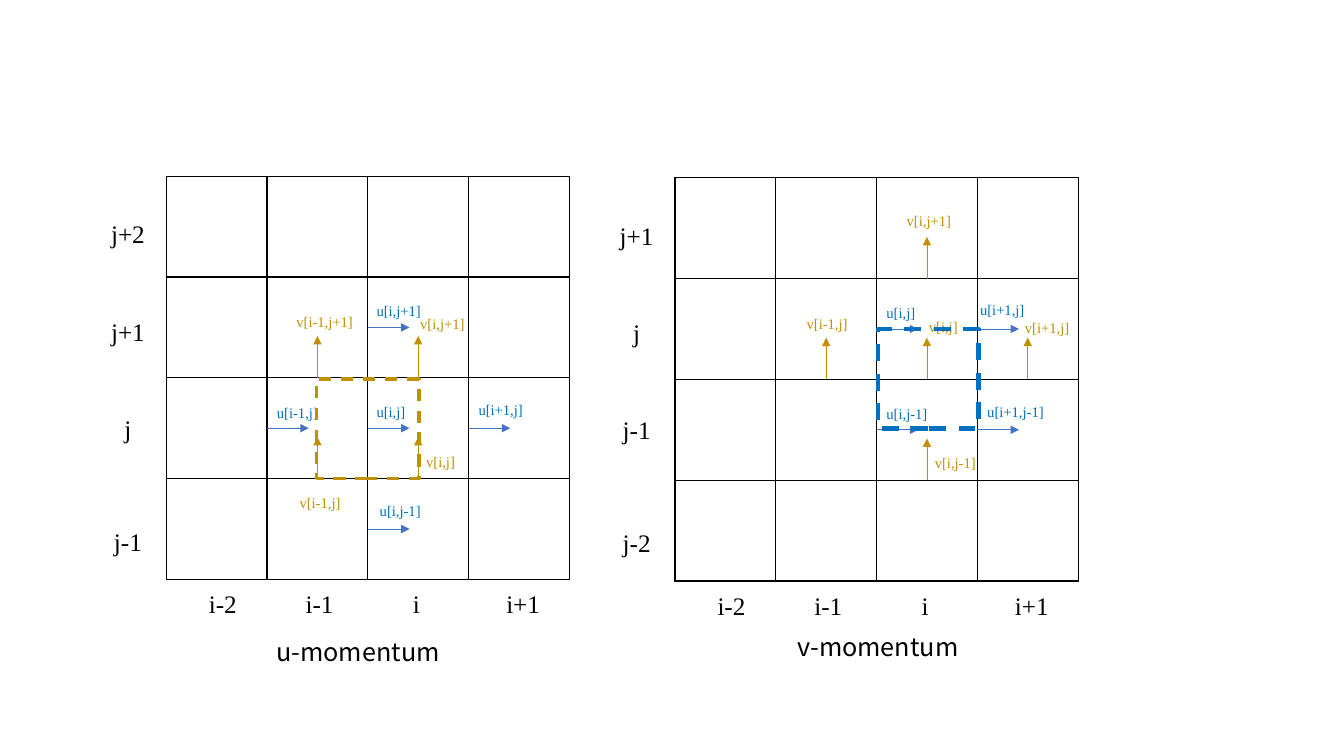
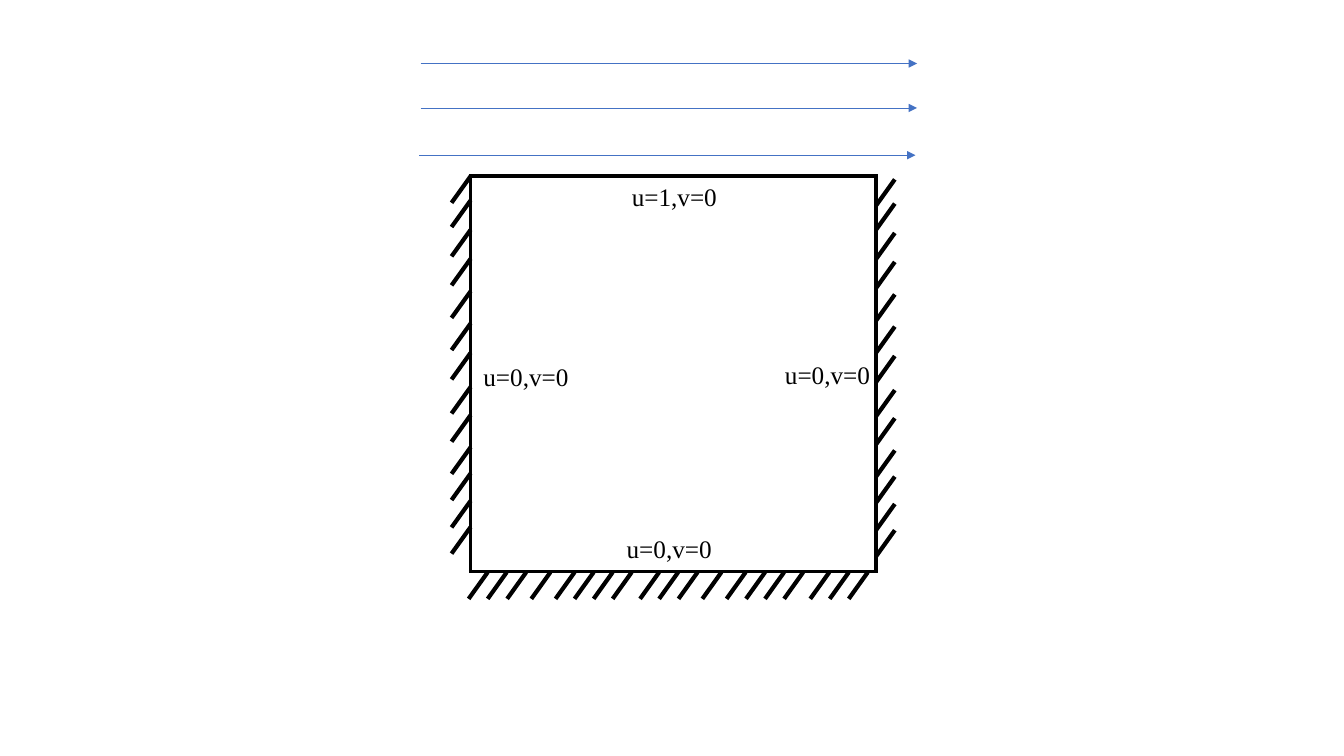
from lxml import etree
from pptx import Presentation
from pptx import util as u
from pptx.dml.color import RGBColor
from pptx.enum import dml, shapes, text
from pptx.oxml.ns import qn

COLORS = {
    "ink": "000000",
    "flow": "4472C4",
    "u": "0070C0",
    "v": "BF9000",
}
SERIF = "Times New Roman"
SANS = "Noto Sans CJK SC"

CELL = 2.54
ARROW = 1.05

# Axis labels, measured from the top left corner of a grid
COLUMN_LEFTS = (0.56, 3, 5.44, 8.13)
COLUMN_TOP = 10.26
ROW_TOPS = (0.94, 3.4, 5.84, 8.69)
ROW_LEFT = -1.83

# Velocities: component, indices, start in cells, label offset from start in cm
U_PANEL = dict(
    origin=(4.19, 4.44),
    rows=("j+2", "j+1", "j", "j-1"),
    velocities=(
        ("u", "i,j", (2, 2.5), (-0.03, -0.76)),
        ("u", "i,j-1", (2, 3.5), (0.05, -0.81)),
        ("u", "i+1,j", (3, 2.5), (0, -0.81)),
        ("u", "i-1,j", (1, 2.5), (0, -0.74)),
        ("u", "i,j+1", (2, 1.5), (-0.03, -0.76)),
        ("v", "i,j", (2.5, 3), (-0.05, -0.78)),
        ("v", "i,j+1", (2.5, 2), (-0.2, -1.7)),
        ("v", "i-1,j", (1.5, 3), (-0.7, 0.26)),
        ("v", "i-1,j+1", (1.5, 2), (-0.78, -1.75)),
    ),
    volume=(3.78, 5.11, 2.59, 2.51, "v", 2.25),
    title=("u-momentum", 0.43, 11.48),
)
V_PANEL = dict(
    origin=(17.01, 4.48),
    rows=("j+1", "j", "j-1", "j-2"),
    velocities=(
        ("u", "i,j-1", (2, 2.5), (0, -0.76)),
        ("u", "i+1,j-1", (3, 2.5), (0, -0.81)),
        ("u", "i,j", (2, 1.5), (0, -0.76)),
        ("u", "i+1,j", (3, 1.5), (-0.18, -0.84)),
        ("v", "i,j-1", (2.5, 3), (-0.05, -0.78)),
        ("v", "i,j", (2.5, 2), (-0.2, -1.68)),
        ("v", "i-1,j", (1.5, 2), (-0.74, -1.75)),
        ("v", "i+1,j", (3.5, 2), (-0.32, -1.65)),
        ("v", "i,j+1", (2.5, 1), (-0.76, -1.8)),
    ),
    volume=(5.11, 3.81, 2.54, 2.51, "u", 3),
    title=("v-momentum", 0.71, 11.3),
)

# Cavity and the strokes that hatch its walls, measured along each wall
CAVITY = (11.86, 4.44, 10.21, 9.96)
STROKE = (0.48, 0.67)
SIDE_STROKES = (0, 0.61, 1.35, 2.08, 2.9, 3.71, 4.45, 5.31, 6.02, 6.83,
                7.49, 8.18, 8.84)
FLOOR_STROKES = (0.43, 0.91, 1.4, 2.01, 2.62, 3.1, 3.58, 4.06, 4.75, 5.23,
                 5.72, 6.32, 6.93, 7.42, 7.9, 8.38, 9.04, 9.53, 10.01)


def rgb(name):
    return RGBColor.from_string(COLORS[name])


def add_label(s, words, x, y, w, h=1.02, size=18, color="ink", font=SERIF,
              align=text.PP_ALIGN.CENTER):
    tf = s.shapes.add_textbox(u.Cm(x), u.Cm(y), u.Cm(w), u.Cm(h)).text_frame
    tf.word_wrap = True
    tf.auto_size = text.MSO_AUTO_SIZE.SHAPE_TO_FIT_TEXT
    p = tf.paragraphs[0]
    p.text = words
    p.alignment = align
    r = p.runs[0]
    r.font.size = u.Pt(size)
    r.font.name = font
    r.font.color.rgb = rgb(color)


def add_line(s, x1, y1, x2, y2, color, width, arrow=False):
    sp = s.shapes.add_connector(shapes.MSO_CONNECTOR.STRAIGHT,
                                u.Cm(x1), u.Cm(y1), u.Cm(x2), u.Cm(y2))
    sp.line.color.rgb = rgb(color)
    sp.line.width = u.Pt(width)
    sp_pr = sp._element.spPr
    if arrow:
        etree.SubElement(sp_pr.find(qn("a:ln")), qn("a:tailEnd"),
                         type="triangle")
    etree.SubElement(sp_pr, qn("a:effectLst"))


def set_borders(cell, width):
    tc_pr = cell._tc.get_or_add_tcPr()
    for i, side in enumerate(("lnL", "lnR", "lnT", "lnB")):
        ln = etree.Element(qn("a:" + side), w=str(u.Pt(width)))
        fill = etree.SubElement(ln, qn("a:solidFill"))
        etree.SubElement(fill, qn("a:srgbClr"), val=COLORS["ink"])
        tc_pr.insert(i, ln)


def add_grid(s, n, x, y, w, h, width):
    table = s.shapes.add_table(n, n, u.Cm(x), u.Cm(y), u.Cm(w), u.Cm(h)).table
    table.first_row = table.horz_banding = False
    for cell in table.iter_cells():
        cell.fill.background()
        set_borders(cell, width)


def add_velocity(s, origin, component, indices, start, offset):
    x, y = (o + c * CELL for o, c in zip(origin, start))
    if component == "u":
        add_line(s, x, y, x + ARROW, y, "flow", 0.5, arrow=True)
    else:
        add_line(s, x, y, x, y - ARROW, "v", 0.5, arrow=True)
    add_label(s, f"{component}[{indices}]", x + offset[0], y + offset[1],
              3.07, 0.74, size=10.5, color=component,
              align=text.PP_ALIGN.LEFT)


def add_control_volume(s, x, y, w, h, color, width):
    sp = s.shapes.add_shape(shapes.MSO_SHAPE.RECTANGLE,
                            u.Cm(x), u.Cm(y), u.Cm(w), u.Cm(h))
    sp.shadow.inherit = False
    sp.fill.background()
    sp.line.color.rgb = rgb(color)
    sp.line.width = u.Pt(width)
    sp.line.dash_style = dml.MSO_LINE.DASH


def add_panel(s, origin, rows, velocities, volume, title):
    ox, oy = origin
    add_grid(s, 4, ox, oy, 4 * CELL, 4 * CELL, 1)
    for velocity in velocities:
        add_velocity(s, origin, *velocity)
    vx, vy, *rest = volume
    add_control_volume(s, ox + vx, oy + vy, *rest)
    for words, x in zip(("i-2", "i-1", "i", "i+1"), COLUMN_LEFTS):
        add_label(s, words, ox + x, oy + COLUMN_TOP, 1.73)
    for words, y in zip(rows, ROW_TOPS):
        add_label(s, words, ox + ROW_LEFT, oy + y, 1.73)
    words, x, y = title
    add_label(s, words, ox + x, oy + y, 8.81, font=SANS)


def add_hatching(s):
    x, y, w, h = CAVITY
    dx, dy = STROKE
    starts = [(x, y + d) for d in SIDE_STROKES]
    starts += [(x + w + dx, y + 0.08 + d) for d in SIDE_STROKES]
    starts += [(x + d, y + h + 0.02) for d in FLOOR_STROKES]
    for x1, y1 in starts:
        add_line(s, x1, y1, x1 - dx, y1 + dy, "ink", 3)


def build_staggered_grids(s):
    for panel in (U_PANEL, V_PANEL):
        add_panel(s, **panel)


def build_cavity(s):
    add_grid(s, 1, *CAVITY, 3)
    add_hatching(s)
    # Boundary conditions: top, left, bottom, right
    for words, x, y in (("u=1,v=0", 13.72, 4.44), ("u=0,v=0", 9.98, 8.97),
                        ("u=0,v=0", 13.59, 13.31), ("u=0,v=0", 17.58, 8.94)):
        add_label(s, words, x, y, 6.55)
    # Stream above the lid
    for x, y in ((10.6, 1.6), (10.6, 2.72), (10.56, 3.91)):
        add_line(s, x, y, x + 12.51, y, "flow", 0.5, arrow=True)


def main():
    prs = Presentation()
    prs.slide_width, prs.slide_height = u.Cm(33.87), u.Cm(19.05)
    for build in (build_staggered_grids, build_cavity):
        build(prs.slides.add_slide(prs.slide_layouts[6]))
    prs.save("out.pptx")


if __name__ == "__main__":
    main()
